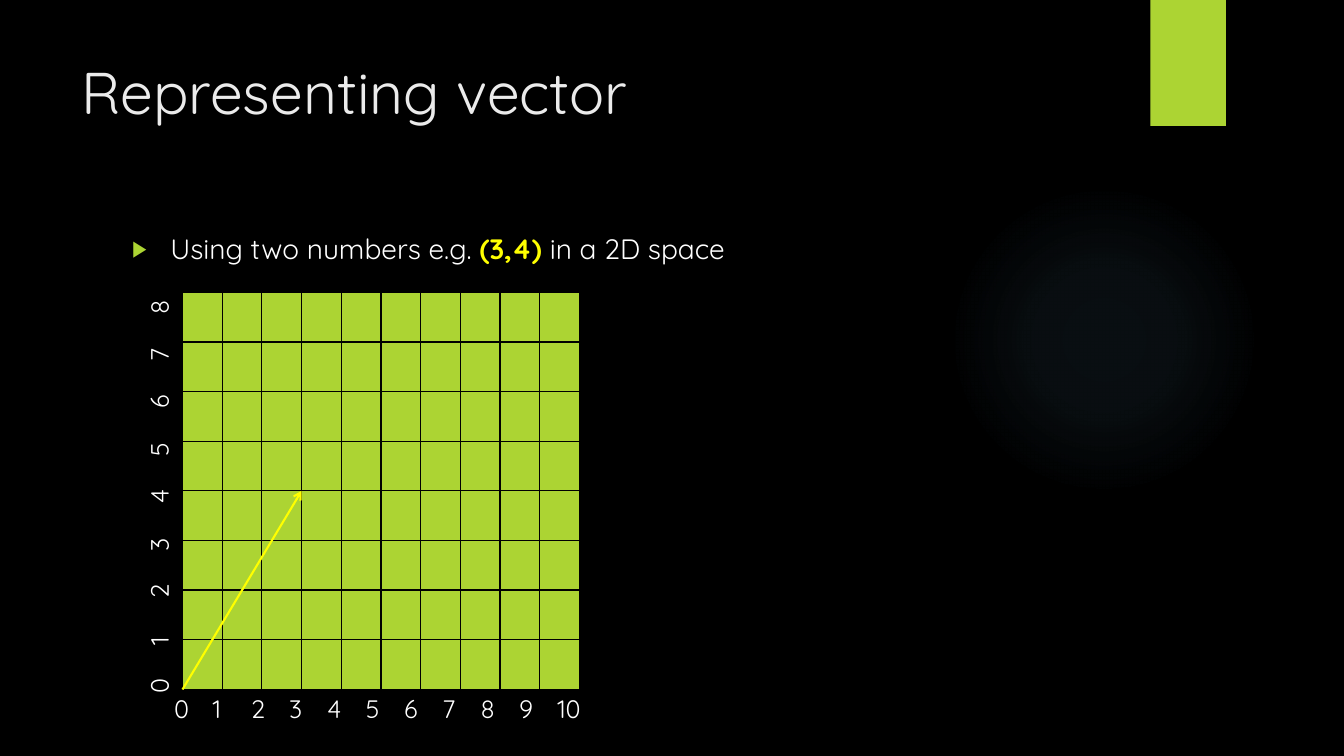
from pptx import Presentation
from pptx.dml.color import RGBColor as RGB
from pptx.enum.shapes import MSO_CONNECTOR as LINE, MSO_SHAPE as KIND
from pptx.enum.text import MSO_ANCHOR as ANCHOR, MSO_AUTO_SIZE as AUTO, PP_ALIGN as ALIGN
from pptx.oxml import parse_xml
from pptx.oxml.ns import nsdecls, qn
from pptx.util import Inches, Pt

FONT = "Quicksand"
LIME, WHITE, GOLD, BLACK = "ACD433", "FFFFFF", "FFFF00", "000000"


def color(code):
    """Turn a hex string into a colour."""
    return RGB.from_string(code)


def node(tag, attrs="", inner=""):
    """Make one drawing element."""
    return parse_xml(f"<a:{tag} {nsdecls('a')} {attrs}>{inner}</a:{tag}>")


def place(shape, box):
    """Move a shape into a box of inches."""
    shape.left, shape.top, shape.width, shape.height = map(Inches, box)


def add_run(para, text, size, code, bold=False):
    """Add one formatted run."""
    run = para.add_run()
    run.text = text
    font = run.font
    font.name, font.size, font.bold = FONT, Pt(size), bold
    font.color.rgb = color(code)


def prepare(shape, box):
    """Place a text shape and return its first paragraph."""
    place(shape, box)
    frame = shape.text_frame
    frame.word_wrap, frame.auto_size = True, AUTO.NONE
    frame.vertical_anchor = ANCHOR.TOP
    para = frame.paragraphs[0]
    para.alignment = ALIGN.LEFT
    return para


def add_glow(slide, box):
    """Draw the faint round glow."""
    glow = slide.shapes.add_shape(KIND.OVAL, *map(Inches, box))
    glow.shadow.inherit = False
    glow.line.fill.background()
    glow.fill.background()
    stops = "".join(
        f'<a:gs pos="{pos}000"><a:srgbClr val="7AC4F0">'
        f'<a:alpha val="{alpha}000"/></a:srgbClr></a:gs>'
        for pos, alpha in ((0, 7), (36, 6), (69, 0))
    )
    props = glow.element.spPr
    fade = node("gradFill", "", f'<a:gsLst>{stops}</a:gsLst><a:path path="circle">'
                '<a:fillToRect l="50000" t="50000" r="50000" b="50000"/></a:path>')
    props.replace(props.find(qn("a:noFill")), fade)


def add_tab(slide, box):
    """Draw the lime tab at the top edge."""
    tab = slide.shapes.add_shape(KIND.RECTANGLE, *map(Inches, box))
    tab.shadow.inherit = False
    tab.fill.solid()
    tab.fill.fore_color.rgb = color(LIME)
    tab.line.fill.background()
    tab.element.spPr.find(qn("a:effectLst")).append(node(
        "outerShdw", f'blurRad="{Pt(3)}" dist="{Pt(2)}" dir="5400000" rotWithShape="0"',
        f'<a:srgbClr val="{BLACK}"><a:alpha val="45000"/></a:srgbClr>'))


def add_title(slide, box):
    """Fill the title."""
    add_run(prepare(slide.shapes.title, box), "Representing vector", 42, "EBEBEB")


def add_body(slide, box):
    """Fill the bullet list."""
    para = prepare(slide.placeholders[1], box)
    para.space_before = Pt(10)
    props = para._p.get_or_add_pPr()
    props.set("marL", str(Inches(0.38)))
    props.set("indent", str(Inches(-0.38)))
    props.append(node("buClr", "", f'<a:srgbClr val="{LIME}"/>'))
    props.append(node("buSzPct", 'val="80000"'))
    props.append(node("buFont", 'typeface="Arial"'))
    props.append(node("buChar", 'char="▶"'))
    add_run(para, "Using two numbers e.g. ", 20, WHITE)
    add_run(para, "(3,4) ", 20, GOLD, True)
    add_run(para, "in a 2D space", 20, WHITE)


def add_grid(slide, box, cols, rows):
    """Draw the lime grid with black rules."""
    table = slide.shapes.add_table(rows, cols, *map(Inches, box)).table
    table.first_row = table.horz_banding = False
    for cell in table.iter_cells():
        props = cell._tc.get_or_add_tcPr()
        for side in ("lnL", "lnR", "lnT", "lnB"):
            props.append(node(side, f'w="{Pt(1)}"',
                              f'<a:solidFill><a:srgbClr val="{BLACK}"/></a:solidFill>'))
        cell.fill.solid()
        cell.fill.fore_color.rgb = color(LIME)


def add_scale(slide, box, last, step, turn=0):
    """Write the numbers of one axis at even tab stops."""
    label = slide.shapes.add_textbox(*map(Inches, box))
    para = prepare(label, box)
    label.rotation = turn
    stops = "".join(f'<a:tab pos="{Inches(step * i)}" algn="l"/>'
                    for i in range(1, last + 1))
    para._p.get_or_add_pPr().append(node("tabLst", "", stops))
    add_run(para, "\t".join(map(str, range(last + 1))), 18, WHITE)


def add_vector(slide, box, cols, rows, x, y):
    """Draw an arrow from the grid's origin to a point."""
    left, top, width, height = box
    base = top + height
    ends = left, base, left + x * width / cols, base - y * height / rows
    arrow = slide.shapes.add_connector(LINE.STRAIGHT, *map(Inches, ends))
    arrow.line.color.rgb = color(GOLD)
    arrow.line.width = Pt(1.5)
    arrow.line._get_or_add_ln().append(node("tailEnd", 'type="arrow"'))
    arrow._element.spPr.append(node("effectLst"))


def add_plot(slide, box, cols, rows):
    """Draw the grid, its scales and the vector."""
    left, top, width, height = box
    add_grid(slide, box, cols, rows)
    add_scale(slide, (left - 0.18, top + height - 0.01, 4.47, 0.4), cols, 0.38)
    add_vector(slide, box, cols, rows, 3, 4)
    add_scale(slide, (left - 2.4, top + 1.71, 4.33, 0.4), rows, 0.47, 270)


def main():
    """Build and save the slide."""
    deck = Presentation()
    deck.slide_width, deck.slide_height = Inches(13.33), Inches(7.5)
    slide = deck.slides.add_slide(deck.slide_layouts[1])
    slide.background.fill.solid()
    slide.background.fill.fore_color.rgb = color(BLACK)
    add_glow(slide, (9.41, 1.83, 3.08, 3.08))
    add_tab(slide, (11.41, 0, 0.75, 1.25))
    add_title(slide, (0.71, 0.5, 10.29, 1.53))
    add_body(slide, (1.21, 2.25, 9.78, 4.59))
    add_plot(slide, (1.81, 2.9, 3.94, 3.94), 10, 8)
    deck.save("out.pptx")


if __name__ == "__main__":
    main()
